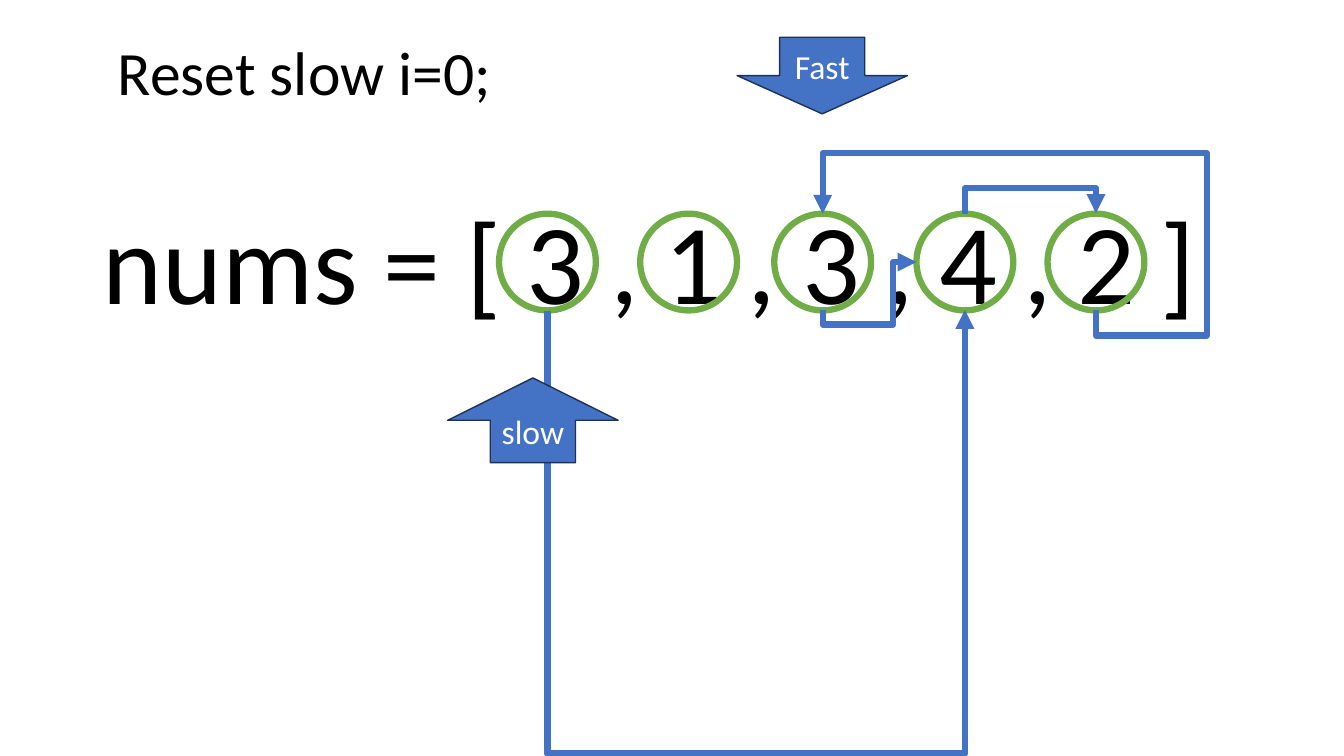
from dataclasses import dataclass

from lxml import etree
from pptx import Presentation
from pptx.dml.color import RGBColor
from pptx.enum.shapes import MSO_CONNECTOR, MSO_SHAPE
from pptx.enum.text import MSO_ANCHOR, PP_ALIGN
from pptx.oxml.ns import qn
from pptx.util import Inches, Pt

ELBOW = MSO_CONNECTOR.ELBOW
OVAL, DOWN, UP = MSO_SHAPE.OVAL, MSO_SHAPE.DOWN_ARROW, MSO_SHAPE.UP_ARROW
CENTER, LEFT = PP_ALIGN.CENTER, PP_ALIGN.LEFT
TOP, MIDDLE = MSO_ANCHOR.TOP, MSO_ANCHOR.MIDDLE
RING_TOP, RING_LEFT, RING_BOTTOM = 0, 2, 4  # connection sites of an oval
SLIDE_W, SLIDE_H = 13.33, 7.5


@dataclass(frozen=True)
class Theme:
    font: str = "Calibri"
    ink: RGBColor = RGBColor(0, 0, 0)
    white: RGBColor = RGBColor(255, 255, 255)
    blue: RGBColor = RGBColor(0x44, 0x72, 0xC4)
    navy: RGBColor = RGBColor(0x1E, 0x32, 0x56)
    green: RGBColor = RGBColor(0x70, 0xAD, 0x47)
    array_size: float = 81.4
    note_size: float = 44
    label_size: float = 24
    stroke: float = 4.5
    outline: float = 1


THEME = Theme()


def write(tf, text, size, color, align=LEFT, anchor=TOP, **paragraph_format):
    tf.word_wrap = True
    tf.vertical_anchor = anchor
    p = tf.paragraphs[0]
    for name, value in {"alignment": align, **paragraph_format}.items():
        setattr(p, name, value)
    r = p.add_run()
    r.text = text
    r.font.color.rgb = color
    for name, value in {"name": THEME.font, "size": Pt(size)}.items():
        setattr(r.font, name, value)


def add_text(s, box, text, size, **paragraph_format):
    tb = s.shapes.add_textbox(*map(Inches, box))
    write(tb.text_frame, text, size, THEME.ink, **paragraph_format)


def add_outlined(s, kind, box, color, width):
    sp = s.shapes.add_shape(kind, *map(Inches, box))
    sp.shadow.inherit = False
    sp.line.color.rgb = color
    sp.line.width = Pt(width)
    return sp


def add_pointer(s, kind, box, label):
    sp = add_outlined(s, kind, box, THEME.navy, THEME.outline)
    sp.fill.solid()
    sp.fill.fore_color.rgb = THEME.blue
    write(sp.text_frame, label, THEME.label_size, THEME.white, CENTER, MIDDLE)


def ring_site(ring, site):
    """Return the x and y, in inches, of a connection site on a ring."""
    x, y, size = ring.left.inches, ring.top.inches, ring.width.inches
    return {RING_TOP: (x + size / 2, y),
            RING_LEFT: (x, y + size / 2),
            RING_BOTTOM: (x + size / 2, y + size)}[site]


def add_link(s, begin, end, bends):
    """Join two (ring, site) ends; bends are y, x, y... of the path's legs."""
    (x1, y1), (x2, y2) = ring_site(*begin), ring_site(*end)
    rise, run = max(y1 - y2, 0.01), abs(x2 - x1)
    left, top = (x1 + x2 - rise) / 2, (y1 + y2 - run) / 2
    c = s.shapes.add_connector(
        ELBOW, *map(Inches, (left, top, left + rise, top + run)))
    c._connect_begin_to(*begin)
    c._connect_end_to(*end)

    spPr = c._element.spPr
    turn = {"rot": "5400000", "flipH": "1", "flipV": str(int(x2 > x1))}
    for name, value in turn.items():
        spPr.find(qn("a:xfrm")).set(name, value)
    geom = spPr.find(qn("a:prstGeom"))
    geom.set("prst", f"bentConnector{len(bends) + 2}")
    guides = geom.find(qn("a:avLst"))
    for i, bend in enumerate(bends):
        ratio = (bend - x1) / (x2 - x1) if i % 2 else (y1 - bend) / rise
        etree.SubElement(guides, qn("a:gd"), name=f"adj{i + 1}",
                         fmla=f"val {round(ratio * 100000)}")

    c.line.color.rgb = THEME.blue
    c.line.width = Pt(THEME.stroke)
    etree.SubElement(c.line._get_or_add_ln(), qn("a:tailEnd"), type="triangle")
    etree.SubElement(spPr, qn("a:effectLst"))


def add_array(s, box):
    """Write the array, ring its values and link each index to its target."""
    left, top, width, height = box
    add_text(s, box, "nums = [ 3 , 1 , 3 , 4 , 2 ]", THEME.array_size,
             line_spacing=0.9)
    diameter = 0.96
    ring_top = top + 0.12
    ring_bottom = ring_top + diameter
    rings = []
    for dx in (4.03, 5.43, 6.76, 8.17, 9.47):
        ring = add_outlined(s, OVAL, (left + dx, ring_top, diameter, diameter),
                            THEME.green, THEME.stroke)
        ring.fill.background()
        rings.append(ring)

    first, _, third, fourth, fifth = rings
    add_link(s, (first, RING_BOTTOM), (fourth, RING_BOTTOM), [SLIDE_H + 0.04])
    add_link(s, (fourth, RING_TOP), (fifth, RING_TOP), [ring_top - 0.26])
    add_link(s, (fifth, RING_BOTTOM), (third, RING_TOP),
             [ring_bottom + 0.25, left + 11.05, ring_top - 0.6])
    add_link(s, (third, RING_BOTTOM), (fourth, RING_LEFT),
             [ring_bottom + 0.14, left + 7.94])


def main():
    prs = Presentation()
    prs.slide_width, prs.slide_height = Inches(SLIDE_W), Inches(SLIDE_H)
    s = prs.slides.add_slide(prs.slide_layouts[6])
    add_array(s, (0.92, 2, 11.5, 1.63))
    add_pointer(s, DOWN, (7.31, 0.37, 1.69, 0.76), "Fast")
    add_pointer(s, UP, (4.44, 3.75, 1.69, 0.84), "slow")
    add_text(s, (1.07, 0.29, 4.73, 0.84), "Reset slow i=0;", THEME.note_size)
    prs.save("out.pptx")


if __name__ == "__main__":
    main()
